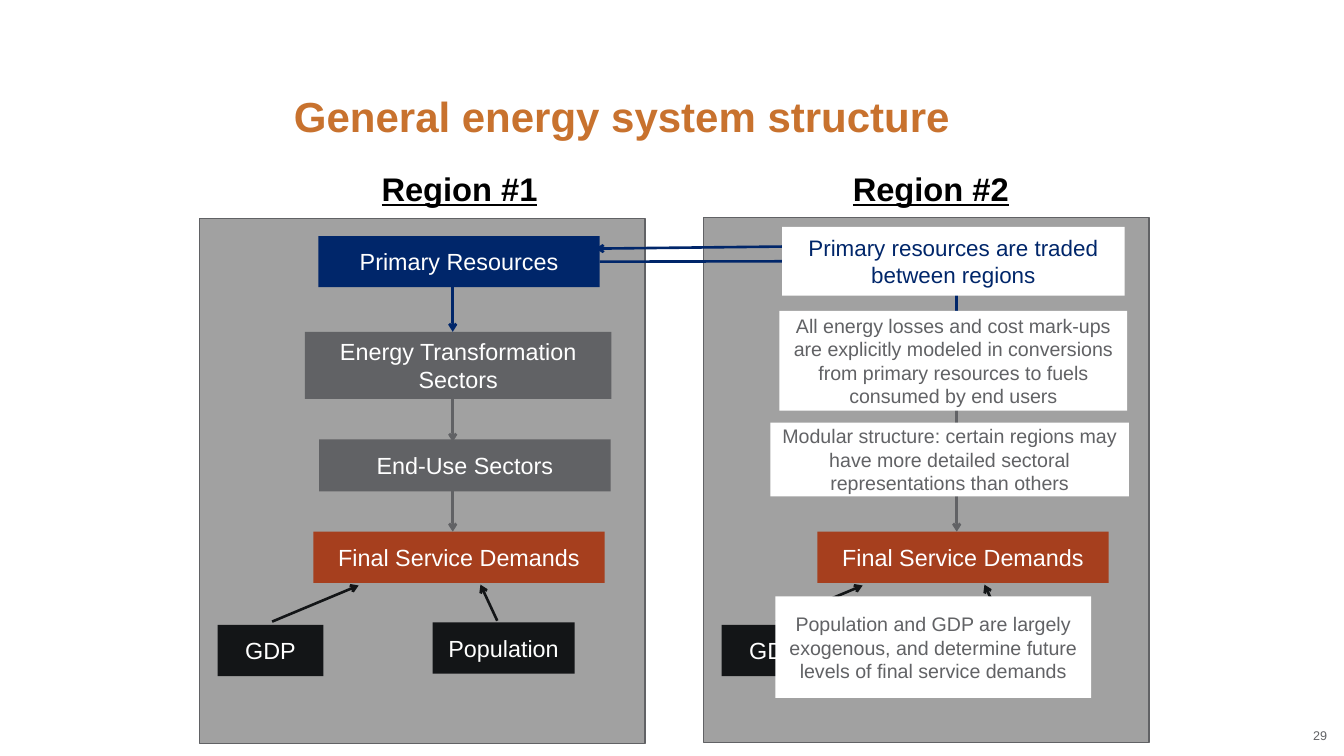
from lxml.etree import SubElement
from pptx import Presentation
from pptx.dml.color import RGBColor
from pptx.enum.shapes import MSO_CONNECTOR, MSO_SHAPE
from pptx.enum.text import MSO_ANCHOR, PP_ALIGN
from pptx.oxml.ns import qn
from pptx.util import Inches, Pt

NAVY, GRAY, RUST, BLACK, WHITE = "00266A", "616265", "A63F1E", "131517", "FFFFFF"


def color(code):
    return RGBColor.from_string(code)


def add_item(place, text, size, ink, fill=None, bold=False, align=PP_ALIGN.CENTER):
    box = [Inches(n) for n in place]
    if fill:
        item = slide.shapes.add_shape(MSO_SHAPE.RECTANGLE, *box)
        item.shadow.inherit = False
        item.fill.solid()
        item.fill.fore_color.rgb = color(fill)
        item.line.fill.background()
    else:
        item = slide.shapes.add_textbox(*box)
    frame = item.text_frame
    frame.word_wrap = True
    frame.vertical_anchor = MSO_ANCHOR.MIDDLE
    frame.text = text
    paragraph = frame.paragraphs[0]
    paragraph.alignment = align
    font = paragraph.font
    if paragraph.runs:
        font = paragraph.runs[0].font
    font.name = "Arial"
    font.size = Pt(size)
    font.bold = bold
    font.color.rgb = color(ink)
    return item


def add_arrow(start, end, ink):
    arrow = slide.shapes.add_connector(
        MSO_CONNECTOR.STRAIGHT, *[Inches(n) for n in (*start, *end)])
    arrow.line.color.rgb = color(ink)
    arrow.line.width = Pt(2.25)
    SubElement(arrow.line._get_or_add_ln(), qn("a:tailEnd"), type="arrow")
    SubElement(arrow._element.spPr, qn("a:effectLst"))
    return arrow


prs = Presentation()
prs.slide_width, prs.slide_height = Inches(16), Inches(9)
slide = prs.slides.add_slide(prs.slide_layouts[6])

number = add_item((15.3, 8.5, 0.5, 0.5), "29", 10.8, GRAY, align=PP_ALIGN.RIGHT).text_frame
number.margin_left = number.margin_right = number.margin_top = number.margin_bottom = 0

title = add_item((3.5, 0.3, 12, 1.43), "General energy system structure", 36, "C8722E",
                 bold=True, align=PP_ALIGN.LEFT).text_frame
title.vertical_anchor = MSO_ANCHOR.BOTTOM
title.margin_left = 0
title.paragraphs[0].line_spacing = 0.9

sectors = [
    ((3.63, 3.95, 3.65, 0.8), "Energy Transformation Sectors", GRAY),
    ((3.79, 2.81, 3.35, 0.61), "Primary Resources", NAVY),
    ((3.8, 5.23, 3.47, 0.62), "End-Use Sectors", GRAY),
    ((5.15, 7.41, 1.69, 0.61), "Population", BLACK),
]
shared_boxes = [
    ((3.73, 6.33, 3.47, 0.61), "Final Service Demands", RUST),
    ((2.59, 7.44, 1.26, 0.61), "GDP", BLACK),
]
flows = [
    ((5.39, 3.42), (5.39, 3.95), NAVY),
    ((5.39, 4.73), (5.39, 5.26), GRAY),
    ((5.39, 5.8), (5.39, 6.33), GRAY),
    ((3.24, 7.4), (4.27, 6.97), BLACK),
    ((5.92, 7.39), (5.72, 6.96), BLACK),
]
boxes = {}
for shift, drop, region_boxes in [(0, 0, sectors + shared_boxes), (6, -0.01, shared_boxes)]:
    panel = add_item((2.38 + shift, 2.6 + drop, 5.3, 6.25), "", 20, WHITE, "A1A1A1")
    panel.line.color.rgb = color(GRAY)
    panel.line.width = Pt(1)
    for (left, top, width, height), text, fill in region_boxes:
        boxes[shift, text] = add_item((left + shift, top, width, height), text, 20, WHITE, fill)
    for (x1, y1), (x2, y2), ink in flows:
        add_arrow((x1 + shift, y1), (x2 + shift, y2), ink)

export = add_arrow((7.14, 3.12), (9.79, 3.11), NAVY)
export.begin_connect(boxes[0, "Primary Resources"], 3)
add_arrow((9.78, 2.93), (7.09, 2.96), NAVY)

notes = [
    ((9.31, 2.7, 4.08, 0.82), "Primary resources are traded between regions", 19.2, NAVY),
    ((9.28, 3.7, 4.14, 1.19), "All energy losses and cost mark-ups are explicitly modeled in "
     "conversions from primary resources to fuels consumed by end users", 16.8, GRAY),
    ((9.17, 5.03, 4.27, 0.88), "Modular structure: certain regions may have more detailed "
     "sectoral representations than others", 16.8, GRAY),
    ((9.23, 7.1, 3.76, 1.21), "Population and GDP are largely exogenous, and determine future "
     "levels of final service demands", 16.8, GRAY),
]
for place, text, size, ink in notes:
    add_item(place, text, size, ink, WHITE)

for left, name in [(2.83, "Region #1"), (8.44, "Region #2")]:
    heading = add_item((left, 1.96, 5.28, 0.57), name, 28, "000000", bold=True)
    heading.text_frame.paragraphs[0].runs[0].font.underline = True

prs.save("out.pptx")
